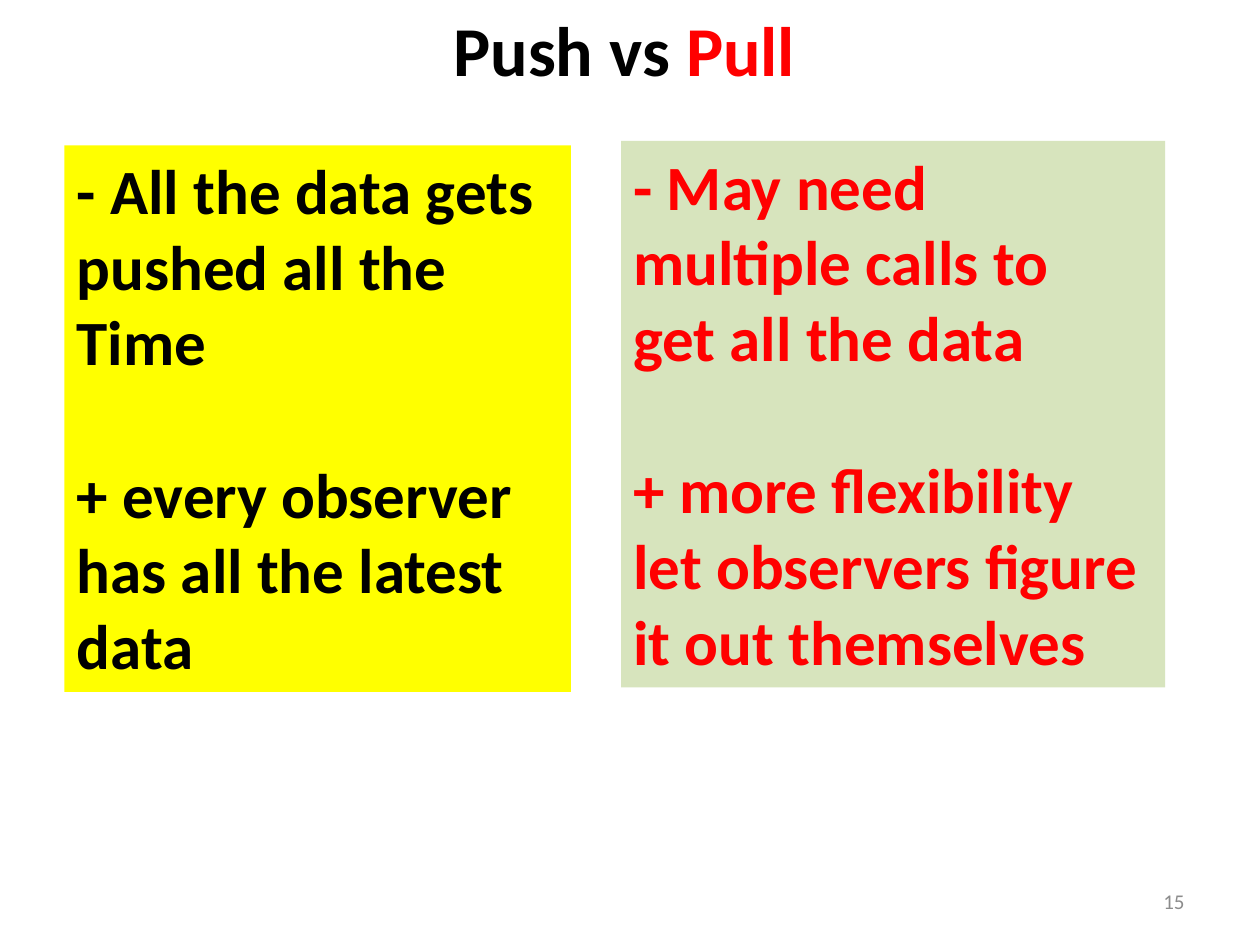
import pptx
import pptx.util
import pptx.dml.color
import pptx.enum.shapes
import pptx.enum.text

Cm, Pt = pptx.util.Cm, pptx.util.Pt
ALIGN = pptx.enum.text.PP_ALIGN
ANCHOR = pptx.enum.text.MSO_ANCHOR
COLOURS = {"push": "000000", "pull": "FF0000", "push_panel": "FFFF00",
           "pull_panel": "D7E4BD", "number": "8C8C8C"}


def rgb(name):
    return pptx.dml.color.RGBColor.from_string(COLOURS[name])


def style(font, size, colour, bold=True):
    font.name = "Calibri"
    font.size = Pt(size)
    font.bold = bold
    font.color.rgb = rgb(colour)


deck = pptx.Presentation()
deck.slide_width, deck.slide_height = Cm(25.4), Cm(19.05)
slide = deck.slides.add_slide(deck.slide_layouts[5])

# Title, with each model in its own colour
title = slide.shapes.title
title.left, title.top, title.width, title.height = Cm(2.49), Cm(0), Cm(20.19), Cm(1.96)
title.text_frame.vertical_anchor = ANCHOR.TOP
heading = title.text_frame.paragraphs[0]
heading.alignment = ALIGN.CENTER
for words, colour in (("Push vs ", "push"), ("Pull", "pull")):
    run = heading.add_run()
    run.text = words
    style(run.font, 40, colour)

# Panels: the drawback first, then the advantage
panels = [
    ("push", 1.3, 2.93, 10.21,
     ["- All the data gets", "pushed all the", "Time"],
     ["+ every observer", "has all the latest", "data"]),
    ("pull", 12.52, 2.84, 10.97,
     ["- May need", "multiple calls to", "get all the data"],
     ["+ more flexibility", "let observers figure", "it out themselves"]),
]
for model, left, top, width, drawback, advantage in panels:
    panel = slide.shapes.add_shape(pptx.enum.shapes.MSO_SHAPE.RECTANGLE,
                                   Cm(left), Cm(top), Cm(width), Cm(11.02))
    panel.shadow.inherit = False
    panel.fill.solid()
    panel.fill.fore_color.rgb = rgb(model + "_panel")
    panel.line.fill.background()
    points = panel.text_frame
    points.word_wrap = True
    points.vertical_anchor = ANCHOR.TOP
    points.text = "\n".join(drawback + advantage)
    for line in points.paragraphs:
        line.alignment = ALIGN.LEFT
        style(line.font, 36, model)
    # One line of space between the two points
    points.paragraphs[len(drawback)].space_before = Pt(44)

# Slide number
number = slide.shapes.add_textbox(Cm(18.2), Cm(17.66), Cm(5.93), Cm(1.01)).text_frame
number.word_wrap = True
number.vertical_anchor = ANCHOR.MIDDLE
number.text = "15"
number.paragraphs[0].alignment = ALIGN.RIGHT
style(number.paragraphs[0].font, 12, "number", bold=False)

deck.save("out.pptx")
